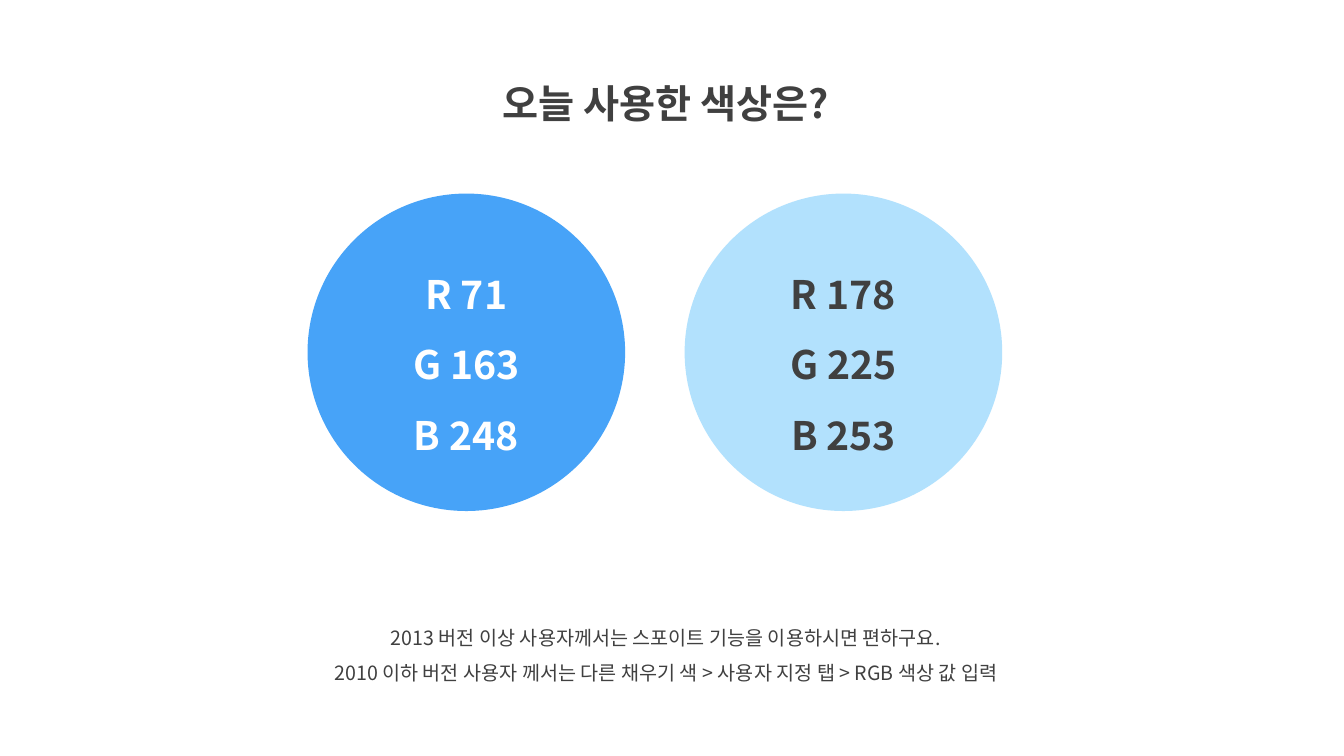
from dataclasses import dataclass

from lxml import etree
from pptx import Presentation
from pptx.dml.color import RGBColor
from pptx.enum.shapes import MSO_SHAPE
from pptx.enum.text import MSO_ANCHOR, MSO_AUTO_SIZE, PP_ALIGN
from pptx.oxml.ns import qn
from pptx.shapes.autoshape import Shape
from pptx.slide import Slide
from pptx.util import Inches, Pt

ELLIPSE = MSO_SHAPE.OVAL
MIDDLE = MSO_ANCHOR.MIDDLE
CENTER = PP_ALIGN.CENTER
GROW = MSO_AUTO_SIZE.SHAPE_TO_FIT_TEXT

DARK = RGBColor(0x40, 0x40, 0x40)
WHITE = RGBColor(0xFF, 0xFF, 0xFF)
BLUE = RGBColor(71, 163, 248)
SKY = RGBColor(178, 225, 253)

FONT = "Noto Sans CJK KR"
LINE_SPACING = 1.5
BLANK_LAYOUT = 6

# Slide size, and the row of circles as shares of it
WIDTH, HEIGHT = Inches(13.33), Inches(7.5)
CIRCLE_LEFT = 3.05 / 13.33
CIRCLE_STEP = 3.74 / 13.33
CIRCLE_TOP = 1.92 / 7.5
DIAMETER = 3.15 / 7.5


@dataclass(frozen=True)
class Caption:
    left: float
    top: float
    width: float
    height: float
    lines: tuple[str, ...]
    size: int
    bold: bool


@dataclass(frozen=True)
class Swatch:
    column: int
    fill: RGBColor
    ink: RGBColor


CAPTIONS = (
    Caption(4.29 / 13.33, 0.5 / 7.5, 4.63 / 13.33, 0.72 / 7.5,
            ("오늘 사용한 색상은?",), 28, True),
    Caption(2.61 / 13.33, 6.04 / 7.5, 7.99 / 13.33, 0.81 / 7.5,
            ("2013 버전 이상 사용자께서는 스포이트 기능을 이용하시면 편하구요.",
             "2010 이하 버전 사용자 께서는 다른 채우기 색 > 사용자 지정 탭 > RGB 색상 값 입력"),
            14, False),
)
SWATCHES = (Swatch(1, SKY, DARK), Swatch(0, BLUE, WHITE))


def write_lines(box: Shape, lines: tuple[str, ...], *, size: int,
                color: RGBColor, bold: bool) -> None:
    """Fill a shape with centred paragraphs of one format."""
    frame = box.text_frame
    frame.word_wrap = True
    for index, line in enumerate(lines):
        para = frame.paragraphs[0] if index == 0 else frame.add_paragraph()
        para.alignment = CENTER
        para.line_spacing = LINE_SPACING
        span = para.add_run()
        span.text = line
        span.font.size = Pt(size)
        span.font.bold = bold
        span.font.color.rgb = color
        span.font.name = FONT
        # Korean glyphs take the East Asian typeface
        etree.SubElement(span.font._element, qn("a:ea"), typeface=FONT)


def draw_caption(page: Slide, caption: Caption) -> None:
    box = page.shapes.add_textbox(
        round(caption.left * WIDTH), round(caption.top * HEIGHT),
        round(caption.width * WIDTH), round(caption.height * HEIGHT))
    write_lines(box, caption.lines, size=caption.size, color=DARK,
                bold=caption.bold)
    box.text_frame.auto_size = GROW


def draw_swatch(page: Slide, swatch: Swatch) -> None:
    left = CIRCLE_LEFT + swatch.column * CIRCLE_STEP
    diameter = round(DIAMETER * HEIGHT)
    circle = page.shapes.add_shape(
        ELLIPSE, round(left * WIDTH), round(CIRCLE_TOP * HEIGHT),
        diameter, diameter)
    circle.shadow.inherit = False
    circle.fill.solid()
    circle.fill.fore_color.rgb = swatch.fill
    circle.line.fill.background()
    circle.text_frame.vertical_anchor = MIDDLE
    # Each circle names the channels of its own fill
    lines = tuple(f"{name} {value}" for name, value in zip("RGB", swatch.fill))
    write_lines(circle, lines, size=28, color=swatch.ink, bold=True)


def main() -> None:
    deck = Presentation()
    deck.slide_width, deck.slide_height = WIDTH, HEIGHT
    page = deck.slides.add_slide(deck.slide_layouts[BLANK_LAYOUT])

    # Title and notes on use
    for caption in CAPTIONS:
        draw_caption(page, caption)

    # Colour circles
    for swatch in SWATCHES:
        draw_swatch(page, swatch)

    deck.save("out.pptx")


if __name__ == "__main__":
    main()
